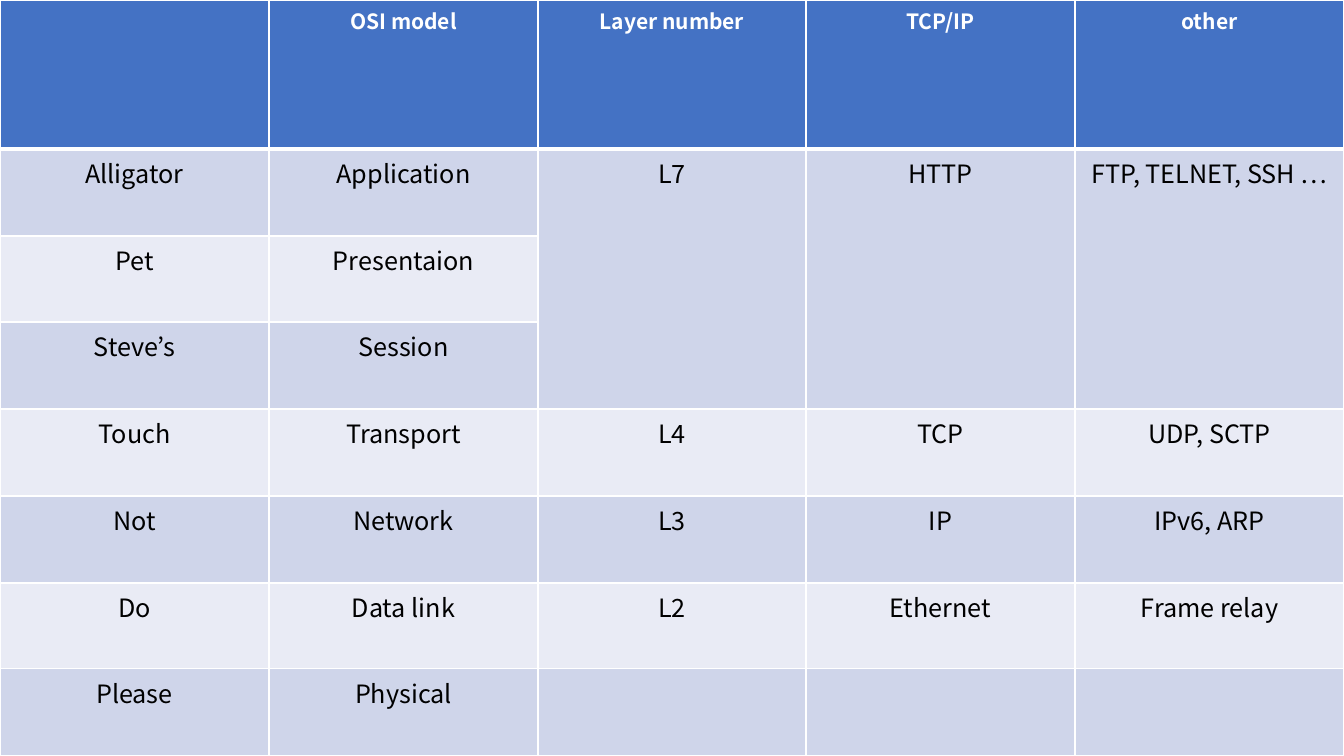
import pptx
import pptx.util
import pptx.dml.color
import pptx.enum.text
import lxml.etree

PX = 914400 * 10 // 1008
WIDTH, HEIGHT = 1344, 756
HEADER_HEIGHT = 149

THEME = {
    "font": "Noto Sans CJK KR",
    "header_size": 15, "body_size": 18,
    "header_text": "FFFFFF", "body_text": "000000",
    "header_fill": "4472C4", "bands": ("CFD5EA", "E9EBF5"),
    "border": "FFFFFF", "thin": 1, "thick": 3,
}

LAYERS = [
    ("", "OSI model", "Layer number", "TCP/IP", "other"),
    ("Alligator", "Application", "L7", "HTTP", "FTP, TELNET, SSH …"),
    ("Pet", "Presentaion", "", "", ""),
    ("Steve’s", "Session", "", "", ""),
    ("Touch", "Transport", "L4", "TCP", "UDP, SCTP"),
    ("Not", "Network", "L3", "IP", "IPv6, ARP"),
    ("Do", "Data link", "L2", "Ethernet", "Frame relay"),
    ("Please", "Physical", "", "", ""),
]


def split_evenly(total, count):
    """Return whole-pixel lengths that add up to total."""
    edges = [round(total * i / count) for i in range(count + 1)]
    return [end - start for start, end in zip(edges, edges[1:])]


def add_border(cell, side, points):
    ns = "{http://schemas.openxmlformats.org/drawingml/2006/main}"
    tc_pr = cell._tc.get_or_add_tcPr()
    ln = lxml.etree.SubElement(tc_pr, f"{ns}ln{side}",
                               w=str(pptx.util.Pt(points)))
    fill = lxml.etree.SubElement(ln, f"{ns}solidFill")
    lxml.etree.SubElement(fill, f"{ns}srgbClr", val=THEME["border"])


prs = pptx.Presentation()
prs.slide_width = WIDTH * PX
prs.slide_height = HEIGHT * PX
s = prs.slides.add_slide(prs.slide_layouts[6])

row_count, col_count = len(LAYERS), len(LAYERS[0])
table = s.shapes.add_table(row_count, col_count, 0, 0,
                           WIDTH * PX, HEIGHT * PX).table
for column, width in zip(table.columns, split_evenly(WIDTH, col_count)):
    column.width = width * PX
body_heights = split_evenly(HEIGHT - HEADER_HEIGHT, row_count - 1)
for row, height in zip(table.rows, [HEADER_HEIGHT] + body_heights):
    row.height = height * PX

for r_index, texts in enumerate(LAYERS):
    is_header = r_index == 0
    part = "header" if is_header else "body"
    fill = THEME["header_fill"] if is_header else THEME["bands"][(r_index - 1) % 2]
    for c_index, text in enumerate(texts):
        cell = table.cell(r_index, c_index)
        for side in "LRTB":
            under_header = (r_index, side) in ((0, "B"), (1, "T"))
            add_border(cell, side, THEME["thick" if under_header else "thin"])
        cell.fill.solid()
        cell.fill.fore_color.rgb = pptx.dml.color.RGBColor.from_string(fill)
        p = cell.text_frame.paragraphs[0]
        p.text = text
        p.alignment = pptx.enum.text.PP_ALIGN.CENTER
        for r in p.runs:
            r.font.name = THEME["font"]
            r.font.size = pptx.util.Pt(THEME[f"{part}_size"])
            r.font.bold = is_header
            r.font.color.rgb = pptx.dml.color.RGBColor.from_string(THEME[f"{part}_text"])

# The upper three OSI layers share one TCP/IP layer.
for c_index in range(2, col_count):
    table.cell(1, c_index).merge(table.cell(3, c_index))

prs.save("out.pptx")
